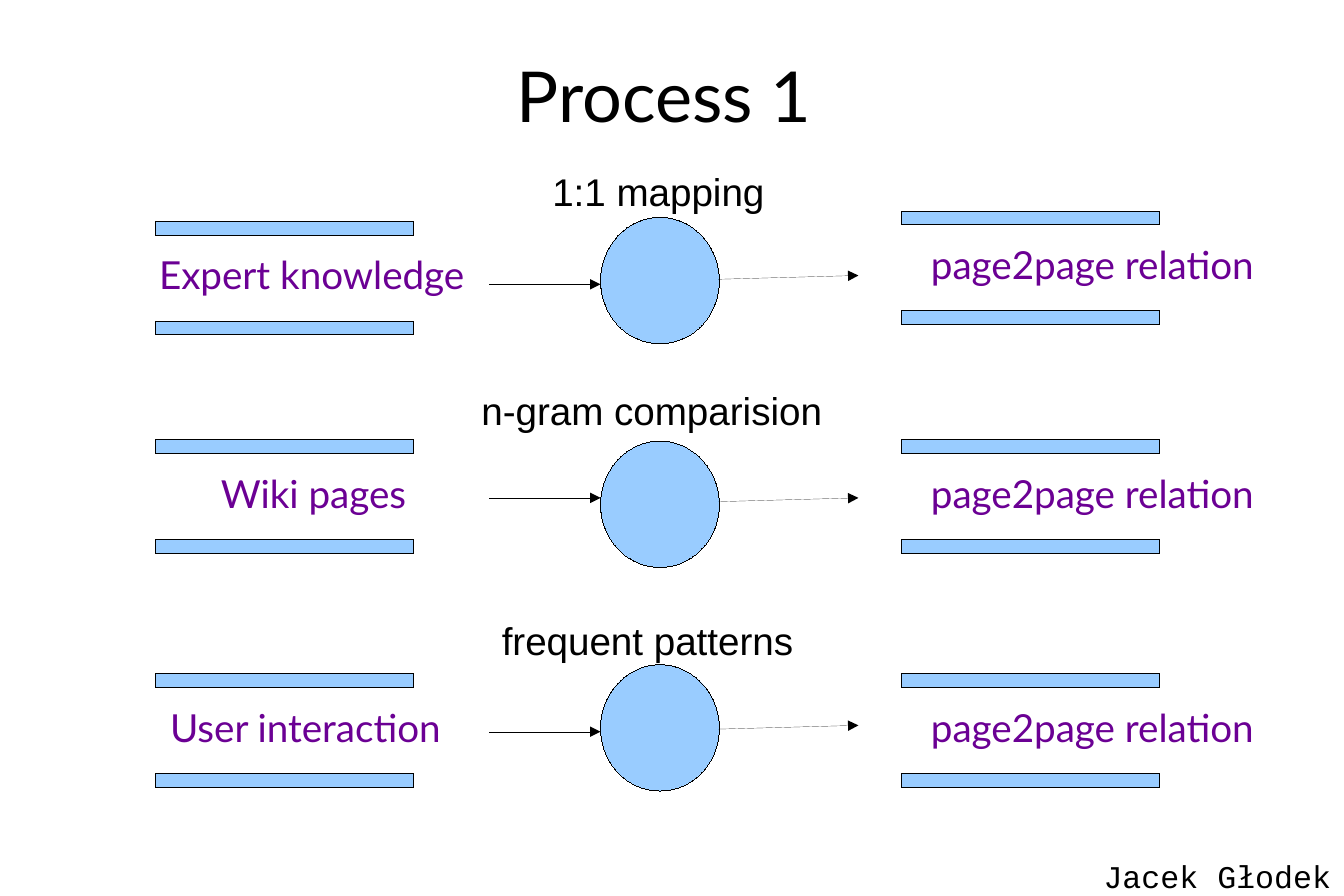
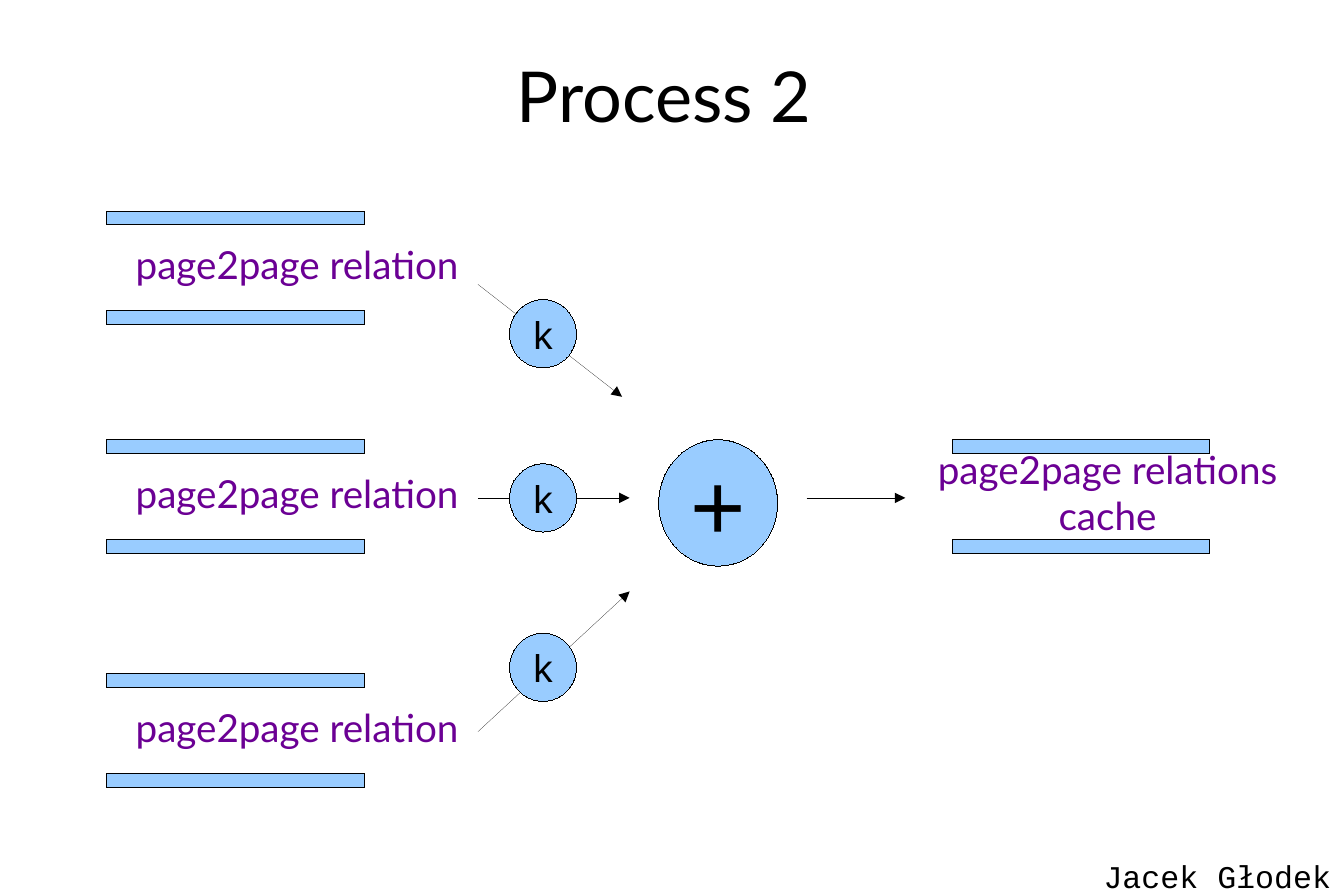
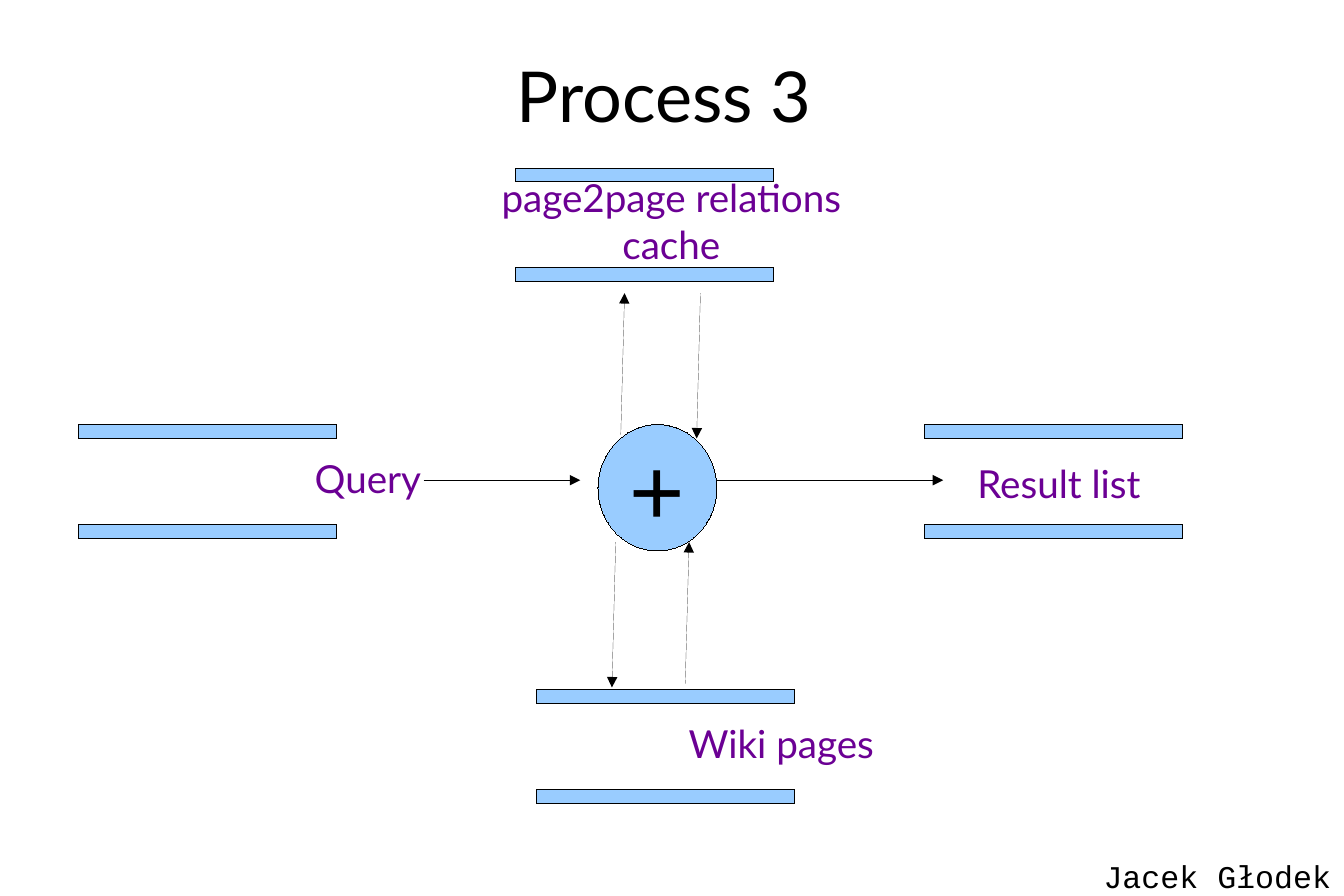
from lxml.etree import SubElement
from pptx import Presentation
from pptx.dml.color import RGBColor
from pptx.enum.shapes import MSO_CONNECTOR as Connector, MSO_SHAPE as Preset
from pptx.enum.text import MSO_ANCHOR as Anchor, MSO_AUTO_SIZE as AutoSize, PP_ALIGN as Align
from pptx.oxml.ns import qn
from pptx.util import Inches, Pt

# Shared look
WIDTH, HEIGHT = 10.63, 7.09
AUTHOR = "Jacek Głodek"
BLUE, BLACK = "99CCFF", "000000"
TITLE = {"name": "Lato", "size": 40, "color": BLACK}
LABEL = {"name": "Lato", "size": 22, "color": "6B0094"}
CAPTION = {"name": "Arial", "size": 22, "color": BLACK}
SIGN = {"name": "Arial", "size": 54, "color": BLACK}
FOOTER = {"name": "Courier New", "size": 18, "color": BLACK}

BAR = (2.04, 0.11)           # one bar of a data store
BAR_STEP = 0.79              # from the upper bar to the lower
CIRCLE, FACTOR = (0.94, 1), (0.53, 0.54)
ROWS = (1.67, 3.48, 5.33)    # tops of the stores in a column
RELATION = "page2page relation"
CACHE = "page2page relations\ncache"
WIDE = (-0.36, 0.19, 3.74)   # label place inside a store: right, down, width
CENTRED = (-0.64, 0, 3.74)

# Content: stores (left, top, text, label place), circles (left, top, sign),
# arrows (from x, from y, to x, to y), factors (left, top), captions (left, top, width, text)
SLIDES = [
    {
        "title": "Process 1 ",
        "stores": [(7.13, top, RELATION, WIDE) for top in ROWS] + [
            (1.23, 1.75, "Expert knowledge", (-0.29, 0.19, 3.05)),
            (1.23, ROWS[1], "Wiki pages", (0.07, 0.19, 2.36)),
            (1.23, ROWS[2], "User interaction", (-0.21, 0.19, 2.79)),
        ],
        "circles": [(4.75, 1.72 + 1.77 * row, "") for row in range(3)],
        "arrows": [(3.87, y, 4.75, y) for y in (2.25, 3.94, 5.79)]
                  + [(5.68, y, 6.79, y - 0.03) for y in (2.21, 3.97, 5.77)],
        "captions": [
            (4.27, 1.28, 1.88, "1:1 mapping"),
            (3.71, 3.01, 2.9, "n-gram comparision"),
            (3.87, 4.83, 2.51, "frequent patterns"),
        ],
    },
    {
        "title": "Process 2 ",
        "stores": [(0.84, top, RELATION, WIDE) for top in ROWS]
                  + [(7.53, ROWS[1], CACHE, CENTRED)],
        "circles": [(5.21, 3.48, "+")],
        "arrows": [
            (3.78, 2.25, 4.92, 3.14),
            (3.78, 3.94, 4.98, 3.94),
            (3.78, 5.79, 4.98, 4.68),
            (6.38, 3.94, 7.16, 3.94),
        ],
        "factors": [(4.03, top) for top in (2.37, 3.67, 5.01)],
    },
    {
        "title": "Process 3 ",
        "stores": [
            (4.08, 1.33, CACHE, CENTRED),
            (0.62, 3.36, "Query", (0.42, 0.19, 3.74)),
            (7.31, 3.36, "Result list", (0.23, 0.23, 1.67)),
            (4.24, 5.46, "Wiki pages", (0.07, 0.19, 3.74)),
        ],
        "circles": [(4.73, 3.36, "+")],
        "arrows": [
            (3.35, 3.8, 4.59, 3.8),
            (5.67, 3.8, 7.46, 3.8),
            (4.91, 3.44, 4.94, 2.32),
            (5.54, 2.32, 5.51, 3.47),
            (5.42, 5.41, 5.45, 4.29),
            (4.87, 4.29, 4.84, 5.44),
        ],
    },
]


def rgb(value):
    return RGBColor.from_string(value)


def write(frame, text, style, align):
    """Fill a text frame, one paragraph a line."""
    for index, line in enumerate(text.split("\n")):
        para = frame.add_paragraph() if index else frame.paragraphs[0]
        para.alignment = align
        span = para.add_run()
        span.text = line
        values = {"name": style["name"], "size": Pt(style["size"])}
        for key, value in values.items():
            setattr(span.font, key, value)
        span.font.color.rgb = rgb(style["color"])


def draw_hairline(line):
    """Set a black line of explicit zero width, and return its XML element."""
    line.color.rgb = rgb(BLACK)
    element = line._get_or_add_ln()
    element.set("w", "0")    # line.width = 0 would fall back to the theme's width
    return element


def add_text(page, left, top, width, height, text, style, align=Align.LEFT, wrap=False):
    box = page.shapes.add_textbox(*map(Inches, (left, top, width, height)))
    box.text_frame.word_wrap = wrap
    box.text_frame.auto_size = AutoSize.NONE if wrap else AutoSize.SHAPE_TO_FIT_TEXT
    write(box.text_frame, text, style, align)


def add_blue(page, preset, left, top, size, text="", style=SIGN):
    shape = page.shapes.add_shape(preset, *map(Inches, (left, top, *size)))
    shape.shadow.inherit = False
    shape.fill.solid()
    shape.fill.fore_color.rgb = rgb(BLUE)
    draw_hairline(shape.line)
    if text:
        shape.text_frame.vertical_anchor = Anchor.MIDDLE
        write(shape.text_frame, text, style, Align.CENTER)


def add_store(page, left, top, text, place):
    for bar_top in (top, top + BAR_STEP):
        add_blue(page, Preset.FLOWCHART_PROCESS, left, bar_top, BAR)
    right, down, width = place
    add_text(page, left + right, top + down, width, 1, text, LABEL, Align.CENTER, True)


def add_arrow(page, *ends):
    arrow = page.shapes.add_connector(Connector.STRAIGHT, *map(Inches, ends))
    SubElement(draw_hairline(arrow.line), qn("a:tailEnd"), type="triangle")
    SubElement(arrow._element.spPr, qn("a:effectLst"))


def add_page(deck, layout, content):
    page = deck.slides.add_slide(layout)
    write(page.shapes.title.text_frame, content["title"], TITLE, Align.CENTER)
    for store in content["stores"]:
        add_store(page, *store)
    for left, top, sign in content["circles"]:
        add_blue(page, Preset.OVAL, left, top, CIRCLE, sign)
    for ends in content["arrows"]:
        add_arrow(page, *ends)
    for left, top in content.get("factors", []):
        add_blue(page, Preset.OVAL, left, top, FACTOR, "k", CAPTION)
    for left, top, width, text in content.get("captions", []):
        add_text(page, left, top, width, 0.44, text, CAPTION)
    add_text(page, WIDTH - 2, 6.73, 2, 0.38, AUTHOR, FOOTER)


def main():
    deck = Presentation()
    deck.slide_width, deck.slide_height = Inches(WIDTH), Inches(HEIGHT)
    layout = deck.slide_layouts[5]
    # Title place, inherited by every slide
    title = layout.placeholders[0]
    place = {"left": 0.45, "top": 0.36, "width": 9.75, "height": 0.78}
    for key, value in place.items():
        setattr(title, key, Inches(value))
    title.text_frame.vertical_anchor = Anchor.MIDDLE
    for content in SLIDES:
        add_page(deck, layout, content)
    deck.save("out.pptx")


if __name__ == "__main__":
    main()
